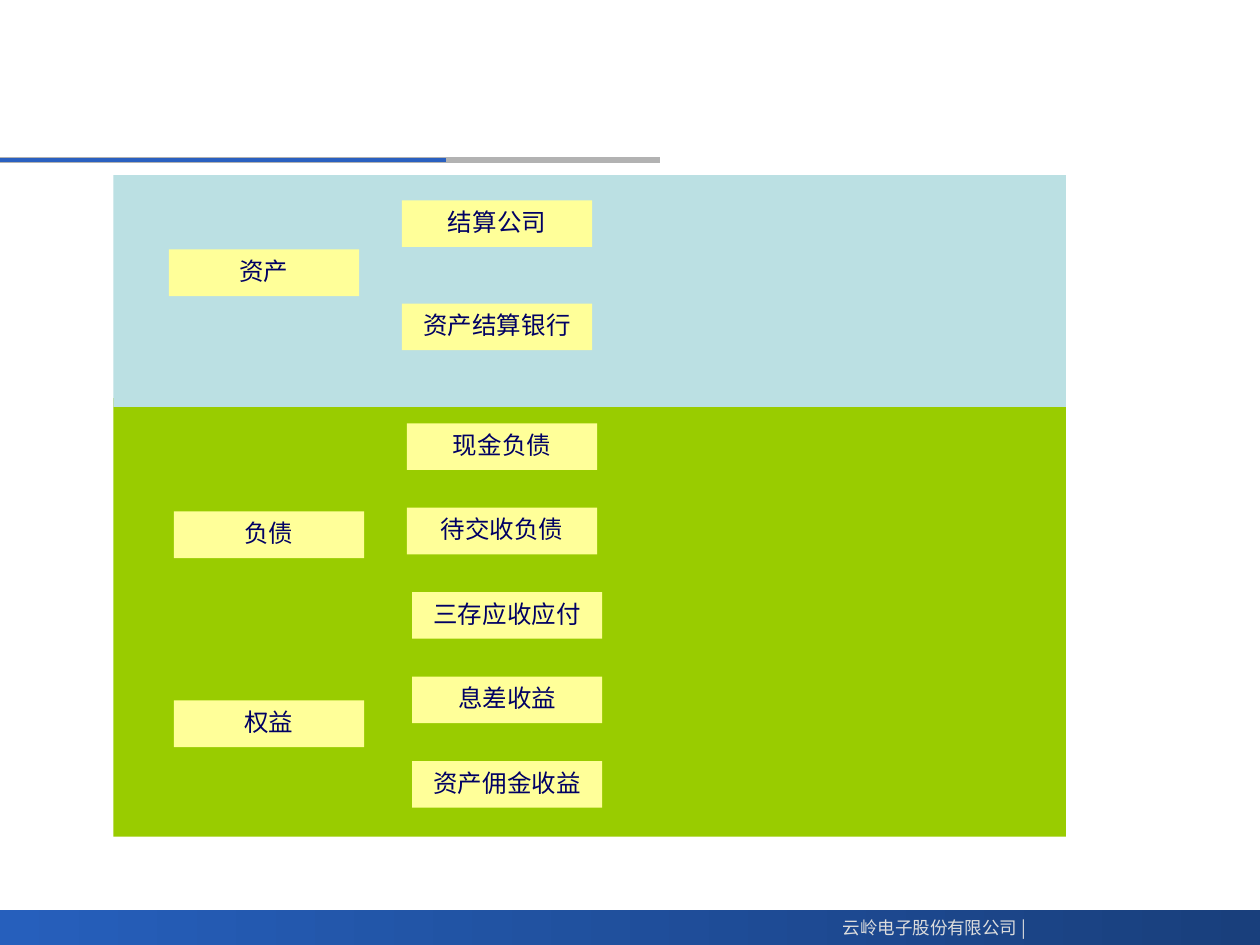
"""Build the slide that groups accounts into assets, liabilities and equity."""
from lxml.etree import SubElement
from pptx import Presentation
from pptx.dml.color import RGBColor
from pptx.enum.shapes import MSO_CONNECTOR, MSO_SHAPE
from pptx.enum.text import MSO_ANCHOR, PP_ALIGN
from pptx.oxml.ns import qn
from pptx.util import Inches, Pt

FOOTER_LEFT = RGBColor(0x26, 0x5F, 0xBC)
FOOTER_RIGHT = RGBColor(0x19, 0x3F, 0x7C)
FOOTER_TEXT = RGBColor(0xDD, 0xDD, 0xDD)
RULE_GRAY = RGBColor(0xB2, 0xB2, 0xB2)
RULE_BLUE = RGBColor(0x2A, 0x60, 0xC0)
PANEL_GREEN = RGBColor(0x99, 0xCC, 0x00)
PANEL_BLUE = RGBColor(0xBB, 0xE0, 0xE3)
BOX_YELLOW = RGBColor(0xFF, 0xFF, 0x99)
BOX_TEXT = RGBColor(0x00, 0x00, 0x64)
CJK_FONT = "Noto Sans CJK SC"

FOOTER = "云岭电子股份有限公司 |"
RULES = [(5.24, RULE_GRAY, 3), (3.54, RULE_BLUE, 2.25)]
PANELS = [(3.16, 3.48, PANEL_GREEN), (1.39, 1.84, PANEL_BLUE)]
CATEGORIES = [("资产", 1.34, 1.98), ("负债", 1.38, 4.06), ("权益", 1.38, 5.56)]
ASSET_ACCOUNTS = [("结算公司", 3.19), ("资产结算银行", 3.19)]
OTHER_ACCOUNTS = [
    ("现金负债", 3.23),
    ("待交收负债", 3.23),
    ("三存应收应付", 3.27),
    ("息差收益", 3.27),
    ("资产佣金收益", 3.27),
]
ASSET_TOP, ASSET_PITCH = 1.59, 0.82
OTHER_TOP, OTHER_PITCH = 3.36, 0.67
BOX_WIDTH, BOX_HEIGHT = 1.51, 0.37


def add_rectangle(shapes, left, top, width, height, color=None):
    shape = shapes.add_shape(
        MSO_SHAPE.RECTANGLE, Inches(left), Inches(top), Inches(width), Inches(height)
    )
    shape.shadow.inherit = False
    shape.line.fill.background()
    if color is not None:
        shape.fill.solid()
        shape.fill.fore_color.rgb = color
    return shape


def write_text(shape, text, alignment, size, color, font_name):
    shape.text_frame.word_wrap = False
    paragraph = shape.text_frame.paragraphs[0]
    paragraph.alignment = alignment
    run = paragraph.add_run()
    run.text = text
    run.font.size = Pt(size)
    run.font.name = font_name
    run.font.color.rgb = color
    SubElement(run.font._element, qn("a:ea"), typeface=CJK_FONT)
    return paragraph


def add_rule(shapes, end, color, weight):
    rule = shapes.add_connector(
        MSO_CONNECTOR.STRAIGHT, 0, Inches(1.27), Inches(end), Inches(1.27)
    )
    rule.line.color.rgb = color
    rule.line.width = Pt(weight)
    SubElement(rule._element.spPr, qn("a:effectLst"))


def add_footer(shapes):
    bar = add_rectangle(shapes, 0, 7.22, 10, 0.28)
    bar.fill.gradient()
    bar.fill.gradient_angle = 0
    for stop, color in zip(bar.fill.gradient_stops, (FOOTER_LEFT, FOOTER_RIGHT)):
        stop.color.rgb = color
    label = shapes.add_textbox(Inches(6.53), Inches(7.23), Inches(1.71), Inches(0.27))
    write_text(label, FOOTER, PP_ALIGN.RIGHT, 10, FOOTER_TEXT, CJK_FONT)


def add_account_box(shapes, text, left, top):
    box = add_rectangle(shapes, left, top, BOX_WIDTH, BOX_HEIGHT, BOX_YELLOW)
    box.text_frame.vertical_anchor = MSO_ANCHOR.MIDDLE
    paragraph = write_text(box, text, PP_ALIGN.CENTER, 14, BOX_TEXT, "Arial")
    paragraph.line_spacing = 0.9
    paragraph.space_after = Pt(3.5)


def main():
    presentation = Presentation()
    presentation.slide_width, presentation.slide_height = Inches(10), Inches(7.5)
    shapes = presentation.slides.add_slide(presentation.slide_layouts[6]).shapes

    add_footer(shapes)
    for rule in RULES:
        add_rule(shapes, *rule)
    panels = shapes.add_group_shape()
    for top, height, color in PANELS:
        add_rectangle(panels.shapes, 0.9, top, 7.56, height, color)

    for text, left, top in CATEGORIES:
        add_account_box(shapes, text, left, top)
    for accounts, first_top, pitch in (
        (ASSET_ACCOUNTS, ASSET_TOP, ASSET_PITCH),
        (OTHER_ACCOUNTS, OTHER_TOP, OTHER_PITCH),
    ):
        for row, (text, left) in enumerate(accounts):
            add_account_box(shapes, text, left, first_top + row * pitch)

    presentation.save("out.pptx")


if __name__ == "__main__":
    main()
